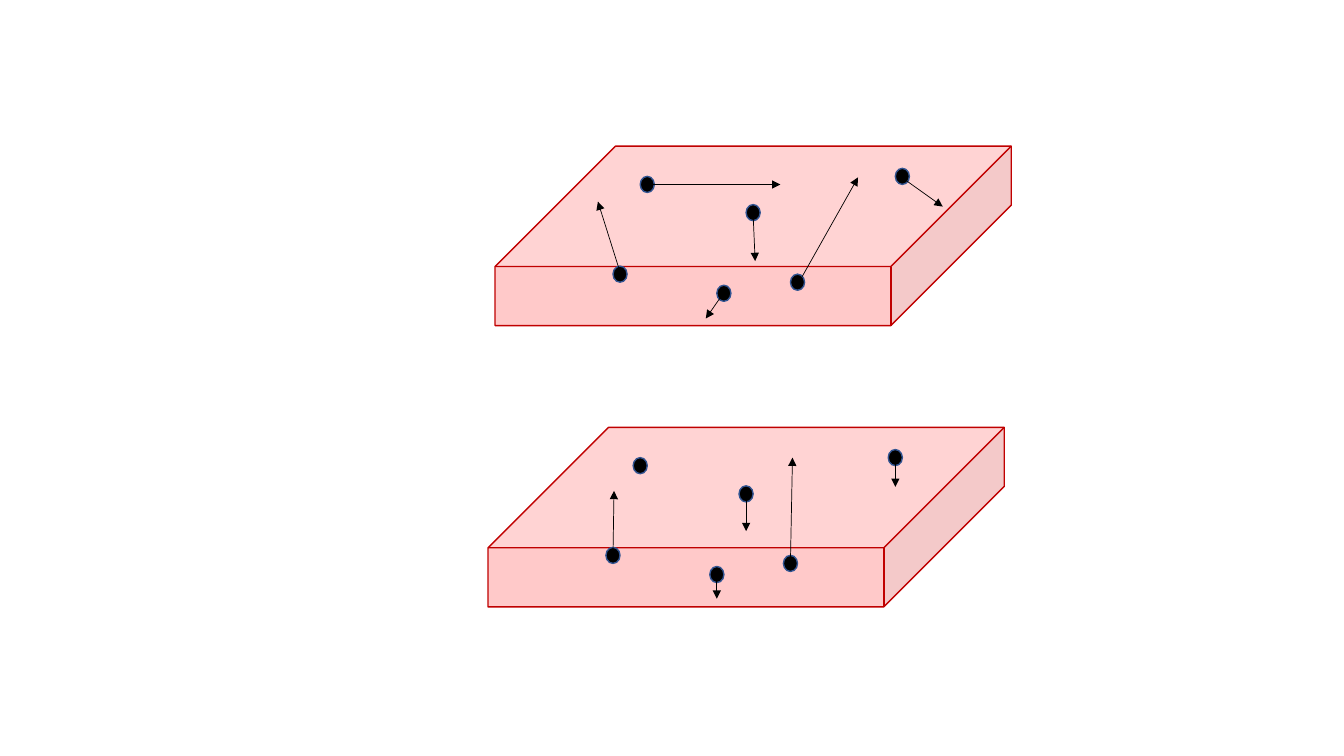
from lxml.etree import SubElement
from pptx import Presentation
from pptx.dml.color import RGBColor
from pptx.enum.shapes import MSO_CONNECTOR, MSO_SHAPE
from pptx.oxml.ns import qn
from pptx.util import Inches, Pt

RED = RGBColor(0xFF, 0x00, 0x00)
EDGE = RGBColor(0xC0, 0x00, 0x00)
BLACK = RGBColor(0x00, 0x00, 0x00)
RIM = RGBColor(0x32, 0x54, 0x91)

SLAB = (5.12, 1.78)
DEPTH = 0.671
ALPHA = 21
DOT = (0.14, 0.16)
CORE = (0.04, 0.05)

# Left and top of each particle, measured from its slab's corner
DOTS = [(1.17, 1.19), (2.2, 1.38), (3.97, 0.22),
        (1.44, 0.3), (2.93, 1.27), (2.49, 0.58)]

# Each slab's corner, then its arrows (x1, y1, x2, y2) from that corner
PANELS = [
    ((4.91, 1.45), [
        (1.24, 1.25, 1.02, 0.55),
        (2.25, 1.48, 2.09, 1.71),
        (4.02, 0.3, 4.44, 0.6),
        (1.53, 0.38, 2.83, 0.38),
        (3.02, 1.34, 3.6, 0.31),
        (2.56, 0.68, 2.58, 1.14),
    ]),
    ((4.84, 4.24), [
        (1.24, 1.25, 1.25, 0.63),
        (2.27, 1.49, 2.27, 1.7),
        (4.04, 0.32, 4.04, 0.59),
        (3, 1.33, 3.02, 0.3),
        (2.56, 0.68, 2.56, 1.03),
    ]),
]


def add_solid(group, kind, left, top, size, fill, line=None):
    """Add a filled preset shape, with a 1 pt outline if line is given."""
    shape = group.shapes.add_shape(
        kind, *(Inches(v) for v in (left, top, *size)))
    shape.shadow.inherit = False
    shape.fill.solid()
    shape.fill.fore_color.rgb = fill
    if line is None:
        shape.line.fill.background()
    else:
        shape.line.color.rgb = line
        shape.line.width = Pt(1)
    return shape


def add_slab(group, left, top):
    slab = add_solid(group, MSO_SHAPE.CUBE, left, top, SLAB, RED, EDGE)
    slab.adjustments[0] = DEPTH
    color = slab._element.spPr.find(qn("a:solidFill"))[0]
    SubElement(color, qn("a:alpha"), val=str(ALPHA * 1000))


def add_dot(group, left, top):
    add_solid(group, MSO_SHAPE.OVAL, left, top, DOT, BLACK, RIM)
    inset = [(d - c) / 2 for d, c in zip(DOT, CORE)]
    add_solid(group, MSO_SHAPE.OVAL, left + inset[0], top + inset[1],
              CORE, BLACK)


def add_arrow(group, ends):
    arrow = group.shapes.add_connector(
        MSO_CONNECTOR.STRAIGHT, *(Inches(v) for v in ends))
    arrow.line.color.rgb = BLACK
    arrow.line.width = Pt(0.5)
    SubElement(arrow.line._get_or_add_ln(), qn("a:tailEnd"), type="triangle")
    SubElement(arrow._element.spPr, qn("a:effectLst"))


def main():
    deck = Presentation()
    deck.slide_width, deck.slide_height = Inches(13.33), Inches(7.5)
    slide = deck.slides.add_slide(deck.slide_layouts[6])
    for (left, top), arrows in PANELS:
        group = slide.shapes.add_group_shape()
        add_slab(group, left, top)
        for x, y in DOTS:
            add_dot(group, left + x, top + y)
        for x1, y1, x2, y2 in arrows:
            add_arrow(group, (left + x1, top + y1, left + x2, top + y2))
    deck.save("out.pptx")


if __name__ == "__main__":
    main()
